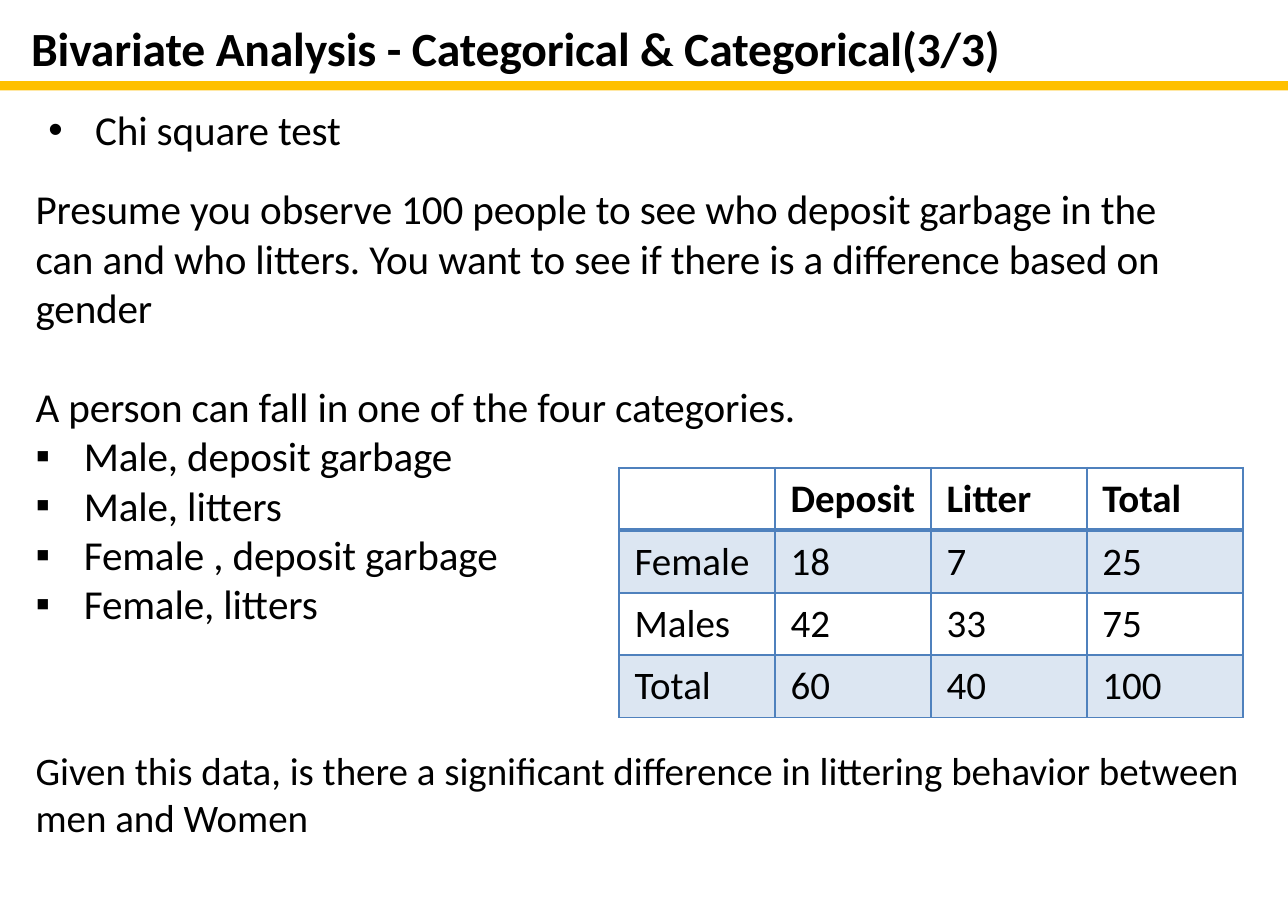
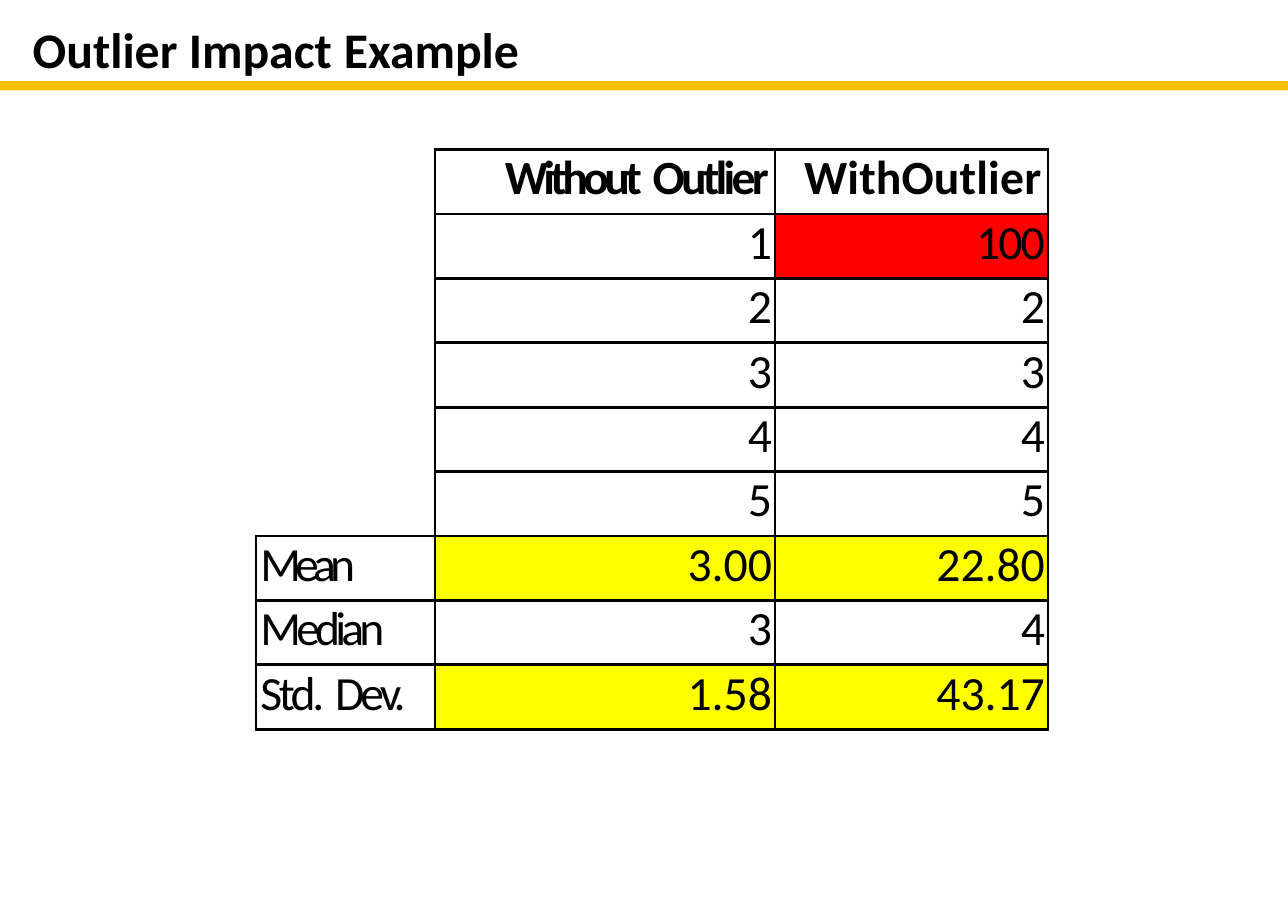
from lxml import etree
from pptx import Presentation
from pptx.dml.color import RGBColor
from pptx.enum.shapes import MSO_SHAPE
from pptx.enum.text import MSO_ANCHOR, PP_ALIGN
from pptx.oxml.ns import qn
from pptx.util import Inches, Pt

RECT = MSO_SHAPE.RECTANGLE
TOP = MSO_ANCHOR.TOP
LEFT, RIGHT = PP_ALIGN.LEFT, PP_ALIGN.RIGHT
BLACK = RGBColor(0, 0, 0)
GOLD = RGBColor(0xFF, 0xC0, 0x00)
BLUE = RGBColor(0x4F, 0x81, 0xBD)
PALE = RGBColor(0xDC, 0xE6, 0xF2)
RED = RGBColor(0xFF, 0, 0)
YELLOW = RGBColor(0xFF, 0xFF, 0)
FONT = "Calibri"
WIDE, HIGH = 8.26, 5.83
BODY, TIGHT = 19, -0.05


def add_run(para, text, size, bold=False, gap=0):
    run = para.add_run()
    run.text = text
    font = run.font
    font.name, font.size, font.bold = FONT, Pt(size), bold
    font.color.rgb = BLACK
    if gap:
        run._r.get_or_add_rPr().set("spc", str(round(gap * 100)))


def style_cell(cell, fill, edges, color):
    """Fill a cell and draw its edges, given as {side: points}."""
    props = cell._tc.get_or_add_tcPr()
    for side in "LRTB":
        line = etree.SubElement(props, qn("a:ln" + side))
        if side in edges:
            line.set("w", str(Pt(edges[side])))
            solid = etree.SubElement(line, qn("a:solidFill"))
            etree.SubElement(solid, qn("a:srgbClr")).set("val", str(color))
        else:
            etree.SubElement(line, qn("a:noFill"))
    if fill:
        cell.fill.solid()
        cell.fill.fore_color.rgb = fill
    else:
        cell.fill.background()


prs = Presentation()
prs.slide_width, prs.slide_height = Inches(WIDE), Inches(HIGH)
layout = prs.slide_layouts[5]

# Shared title place
head = layout.placeholders[0]
head.left, head.top = Inches(0.2), Inches(0.12)
head.width, head.height = Inches(7.88), Inches(0.41)

# Titles
TITLES = [
    (22, 0, [("Bivariate Analysis - Categorical & Categorical(3/3)", TIGHT)]),
    (23, 0.01, [("Outlier Impact ", 0), ("Example", TIGHT)]),
]
slides = []
for size, inset, runs in TITLES:
    slide = prs.slides.add_slide(layout)
    slides.append(slide)
    frame = slide.shapes.title.text_frame
    frame.margin_left = Inches(inset)
    frame.margin_right = frame.margin_top = frame.margin_bottom = 0
    frame.vertical_anchor = TOP
    para = frame.paragraphs[0]
    para.alignment = LEFT
    for text, gap in runs:
        add_run(para, text, size, True, gap)
chi, outlier = slides

# Shared gold band, kept on the layout
band = chi.shapes.add_shape(RECT, 0, Inches(0.52), Inches(WIDE), Inches(0.06))
band.shadow.inherit = False
band.fill.solid()
band.fill.fore_color.rgb = GOLD
band.line.fill.background()
layout.shapes.element.append(band.element)

# Slide 1: text boxes; a paragraph is (text, bullet, space before)
DOT, BOX = ("•", 0.32, -0.3), ("▪", 0.31, -0.31)
TEXTS = [
    ((0.29, 0.67, 1.92, 0.32), 0, BODY, TIGHT, [("Chi square test", DOT, 0)]),
    ((0.13, 1.13, 7.75, 3.28), 0.1, BODY, TIGHT, [
        ("Presume you observe 100 people to see who deposit garbage in the "
         "can and who litters. You want to see if there is a difference "
         "based on gender", None, 0),
        ("A person can fall in one of the four categories.", None, 22.8),
        ("Male, deposit garbage", BOX, 0),
        ("Male, litters", BOX, 0),
        ("Female , deposit garbage", BOX, 0),
        ("Female, litters", BOX, 0),
    ]),
    ((0.13, 4.74, 8, 0.71), 0.1, 18, 0, [
        ("Given this data, is there a significant difference in littering "
         "behavior between men and Women", None, 0),
    ]),
]
for place, inset, size, gap, paras in TEXTS:
    box = chi.shapes.add_textbox(*[Inches(v) for v in place])
    frame = box.text_frame
    frame.word_wrap = True
    frame.margin_left = frame.margin_right = Inches(inset)
    frame.margin_top = frame.margin_bottom = Inches(inset / 2)
    for i, (text, bullet, before) in enumerate(paras):
        para = frame.add_paragraph() if i else frame.paragraphs[0]
        para.space_before = Pt(before)
        if bullet:
            mark, left, hang = bullet
            props = para._p.get_or_add_pPr()
            props.set("marL", str(Inches(left)))
            props.set("indent", str(Inches(hang)))
            etree.SubElement(props, qn("a:buFont")).set("typeface", "Arial")
            etree.SubElement(props, qn("a:buChar")).set("char", mark)
        add_run(para, text, size, gap=gap)

# Slide 1: counts table
COUNTS = [
    ("", "Deposit", "Litter", "Total"),
    ("Female", "18", "7", "25"),
    ("Males", "42", "33", "75"),
    ("Total", "60", "40", "100"),
]
table = chi.shapes.add_table(4, 4, Inches(3.97), Inches(3),
                             Inches(4), Inches(1.6)).table
table.first_row = table.horz_banding = False
for r, row in enumerate(COUNTS):
    for c, text in enumerate(row):
        cell = table.cell(r, c)
        edges = {"L": 1, "R": 1, "T": 2 if r == 1 else 1,
                 "B": 2 if r == 0 else 1}
        style_cell(cell, PALE if r % 2 else None, edges, BLUE)
        if text:
            add_run(cell.text_frame.paragraphs[0], text, 18, r == 0)

# Slide 2: outlier table; a cell is its runs of (text, letter gap)
STATS = [
    ([], [("Without", -2.1), (" ", 0), ("Outlier", -1.7)],
     [("WithOutlier", 0.1)]),
    ([], [("1", 0)], [("100", -0.8)]),
    ([], [("2", 0)], [("2", 0)]),
    ([], [("3", 0)], [("3", 0)]),
    ([], [("4", 0)], [("4", 0)]),
    ([], [("5", 0)], [("5", 0)]),
    ([("Mean", -2.7)], [("3.00", 0)], [("22.80", 0)]),
    ([("Median", -2.2)], [("3", 0)], [("4", 0)]),
    ([("Std.", -1.6), (" ", 0), ("Dev.", -1.8)], [("1.58", 0)],
     [("43.17", 0)]),
]
FILLS = {(1, 2): RED, (6, 1): YELLOW, (6, 2): YELLOW,
         (8, 1): YELLOW, (8, 2): YELLOW}
GRID = {"L": 1.18, "R": 1.18, "T": 1.48, "B": 1.48}
table = outlier.shapes.add_table(9, 3, Inches(1.64), Inches(0.96),
                                 Inches(5.08), Inches(3.72)).table
table.first_row = table.horz_banding = False
for col, width in zip(table.columns, (1.15, 2.18, 1.75)):
    col.width = Inches(width)
for r, row in enumerate(STATS):
    for c, runs in enumerate(row):
        cell = table.cell(r, c)
        edges = GRID
        if not runs:
            sides = "RB" if r in (0, 5) else "R"
            edges = {side: GRID[side] for side in sides}
        style_cell(cell, FILLS.get((r, c)), edges, BLACK)
        cell.margin_left = Inches(0 if c else 0.03)
        cell.margin_right = Inches(0.02 if r else 0.04)
        cell.margin_top = cell.margin_bottom = 0
        para = cell.text_frame.paragraphs[0]
        para.alignment = RIGHT if c else LEFT
        for text, gap in runs:
            add_run(para, text, 22, r == 0, gap)
table.cell(0, 0).merge(table.cell(5, 0))

prs.save("out.pptx")
